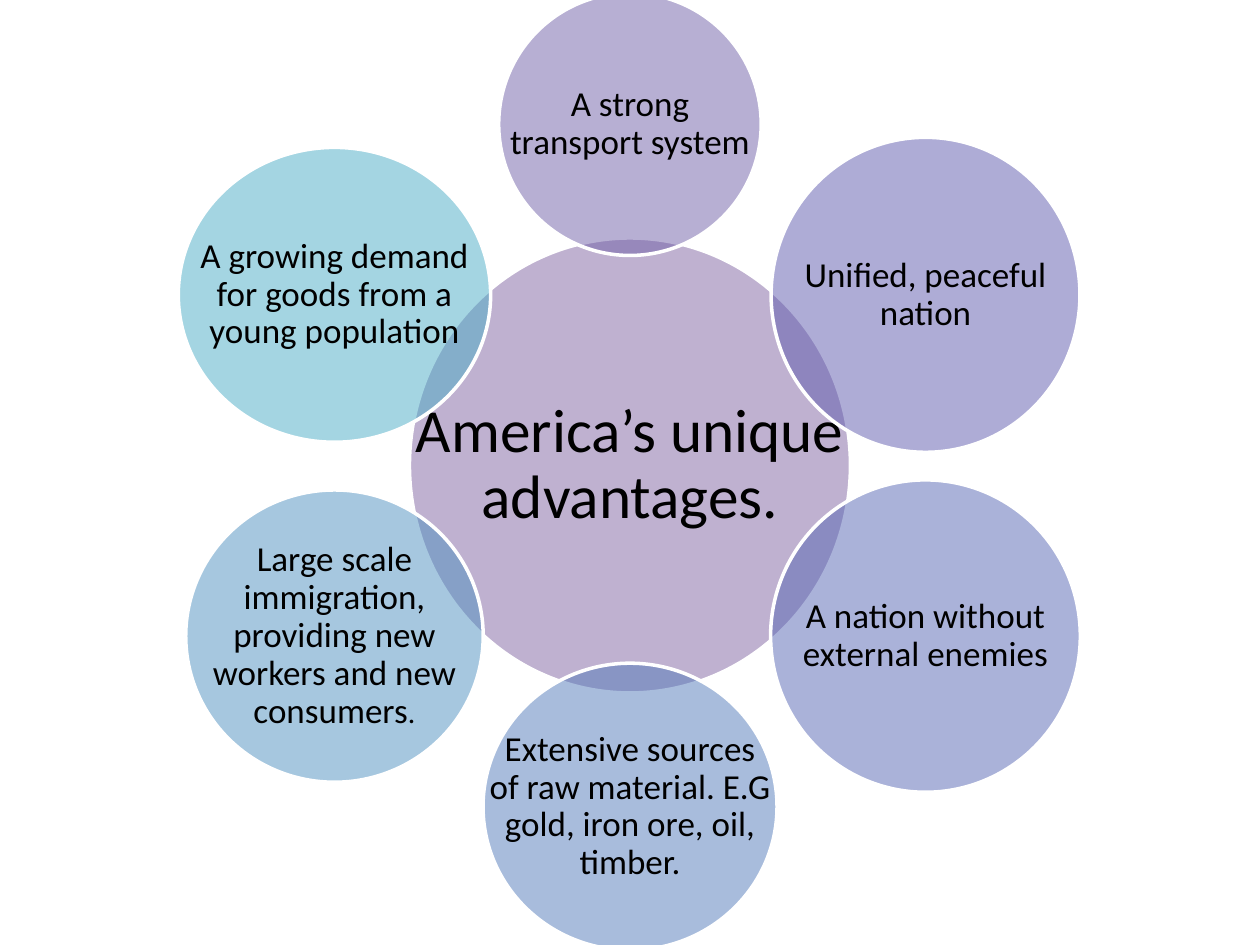
import math

from lxml import etree
from pptx import Presentation
from pptx.dml.color import RGBColor
from pptx.enum.shapes import MSO_SHAPE
from pptx.enum.text import MSO_ANCHOR, PP_ALIGN
from pptx.oxml.ns import qn
from pptx.util import Pt

OVAL = MSO_SHAPE.OVAL
MIDDLE = MSO_ANCHOR.MIDDLE
CENTER = PP_ALIGN.CENTER

BLACK = RGBColor(0x00, 0x00, 0x00)
WHITE = RGBColor(0xFF, 0xFF, 0xFF)
PURPLE = RGBColor(0x80, 0x64, 0xA2)
VIOLET = RGBColor(0x71, 0x60, 0xA8)
INDIGO = RGBColor(0x5F, 0x5B, 0xAE)
PERIWINKLE = RGBColor(0x57, 0x67, 0xB4)
BLUE = RGBColor(0x53, 0x7A, 0xBA)
SKY = RGBColor(0x4F, 0x91, 0xC0)
AQUA = RGBColor(0x4B, 0xAC, 0xC6)

# Ring geometry, in points
HUB_CENTER = (360, 266)
RING_RADIUS = 195

# Colour, width, height and text runs (text, size), clockwise from the top
ADVANTAGES = [
    (VIOLET, 150, 150, [("A strong transport system", 20)]),
    (INDIGO, 176.5, 180, [("Unified, peaceful nation", 20)]),
    (PERIWINKLE, 177, 178.5, [("A nation without external enemies", 20)]),
    (BLUE, 168, 164, [("Extensive sources of raw material. E.G gold, iron ore, "
                       "oil, timber.", 20)]),
    (SKY, 170, 167, [("Large scale immigration, providing new workers and new "
                      "consumers", 20), (".", 17)]),
    (AQUA, 178.5, 168.5, [("A growing demand for goods from a young population", 20)]),
]


def apply(target, values):
    for name, value in values.items():
        setattr(target, name, value)


class VennSlide:
    """Holds the diagram style and the slide being drawn."""

    font_name = "Calibri"
    outline = Pt(2)
    opacity = 50

    def __init__(self, slide):
        self.slide = slide

    def circle(self, box, color):
        shape = self.slide.shapes.add_shape(OVAL, *box)
        shape.shadow.inherit = False
        shape.fill.solid()
        shape.fill.fore_color.rgb = color
        color_element = shape.fill._xPr.find(".//" + qn("a:srgbClr"))
        alpha = etree.SubElement(color_element, qn("a:alpha"))
        alpha.set("val", str(self.opacity * 1000))
        shape.line.color.rgb = WHITE
        shape.line.width = self.outline

    def label(self, box, runs, inset):
        frame = self.slide.shapes.add_textbox(*box).text_frame
        margins = ("margin_left", "margin_top", "margin_right", "margin_bottom")
        apply(frame, {"word_wrap": True, "vertical_anchor": MIDDLE,
                      **dict.fromkeys(margins, Pt(inset))})
        paragraph = frame.paragraphs[0]
        apply(paragraph, {"alignment": CENTER, "line_spacing": 0.9})
        for text, size in runs:
            run = paragraph.add_run()
            run.text = text
            apply(run.font, {"name": self.font_name, "size": Pt(size)})
            run.font.color.rgb = BLACK

    def bubble(self, center, width, height, color, runs, inset=2):
        # The label spans the full circle, wider than an oval's own text area
        left, top = center[0] - width / 2, center[1] - height / 2
        box = [Pt(length) for length in (left, top, width, height)]
        self.circle(box, color)
        self.label(box, runs, inset)


def main():
    presentation = Presentation()
    apply(presentation, {"slide_width": Pt(720), "slide_height": Pt(540)})
    venn = VennSlide(presentation.slides.add_slide(presentation.slide_layouts[6]))

    # Hub
    venn.bubble(HUB_CENTER, 252, 260, PURPLE,
                [("America’s unique advantages.", 35)], inset=3.5)

    # Surrounding advantages, evenly spaced around the hub
    for index, (color, width, height, runs) in enumerate(ADVANTAGES):
        angle = math.tau * index / len(ADVANTAGES)
        center = (HUB_CENTER[0] + RING_RADIUS * math.sin(angle),
                  HUB_CENTER[1] - RING_RADIUS * math.cos(angle))
        venn.bubble(center, width, height, color, runs)

    presentation.save("out.pptx")


if __name__ == "__main__":
    main()
